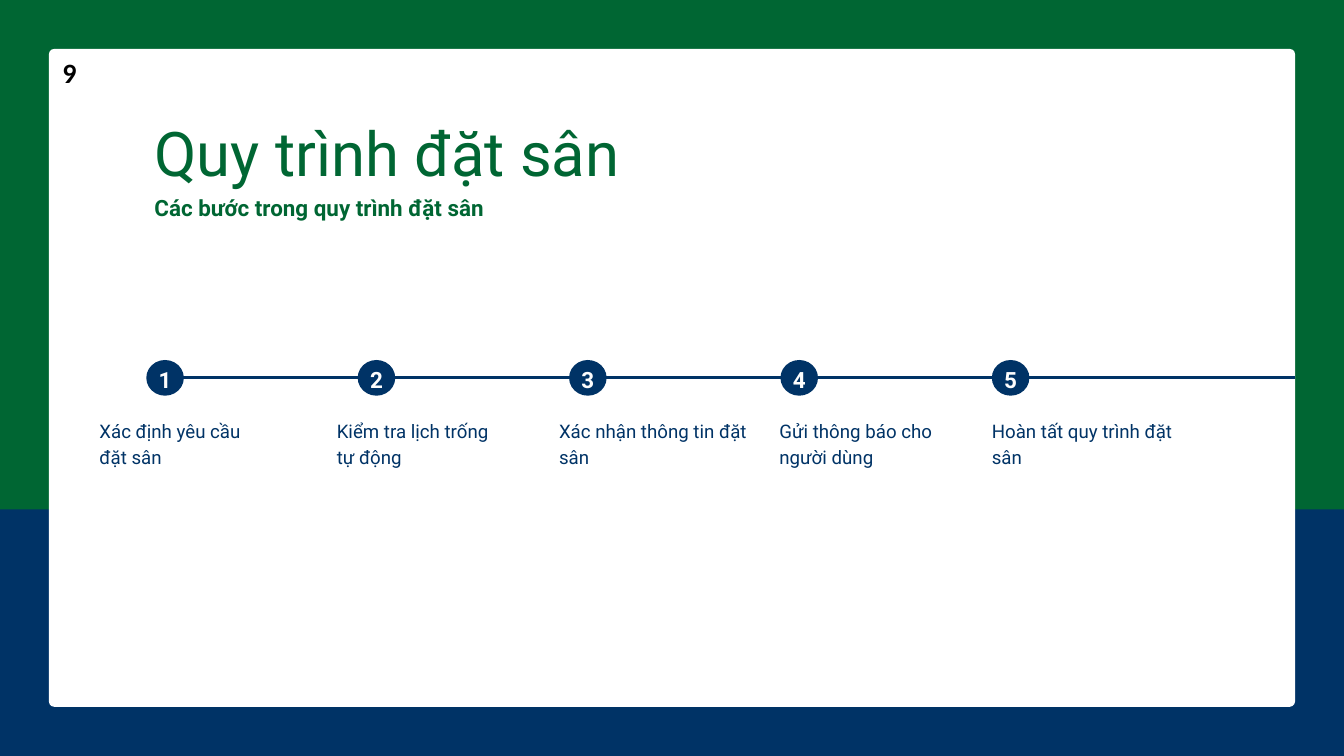
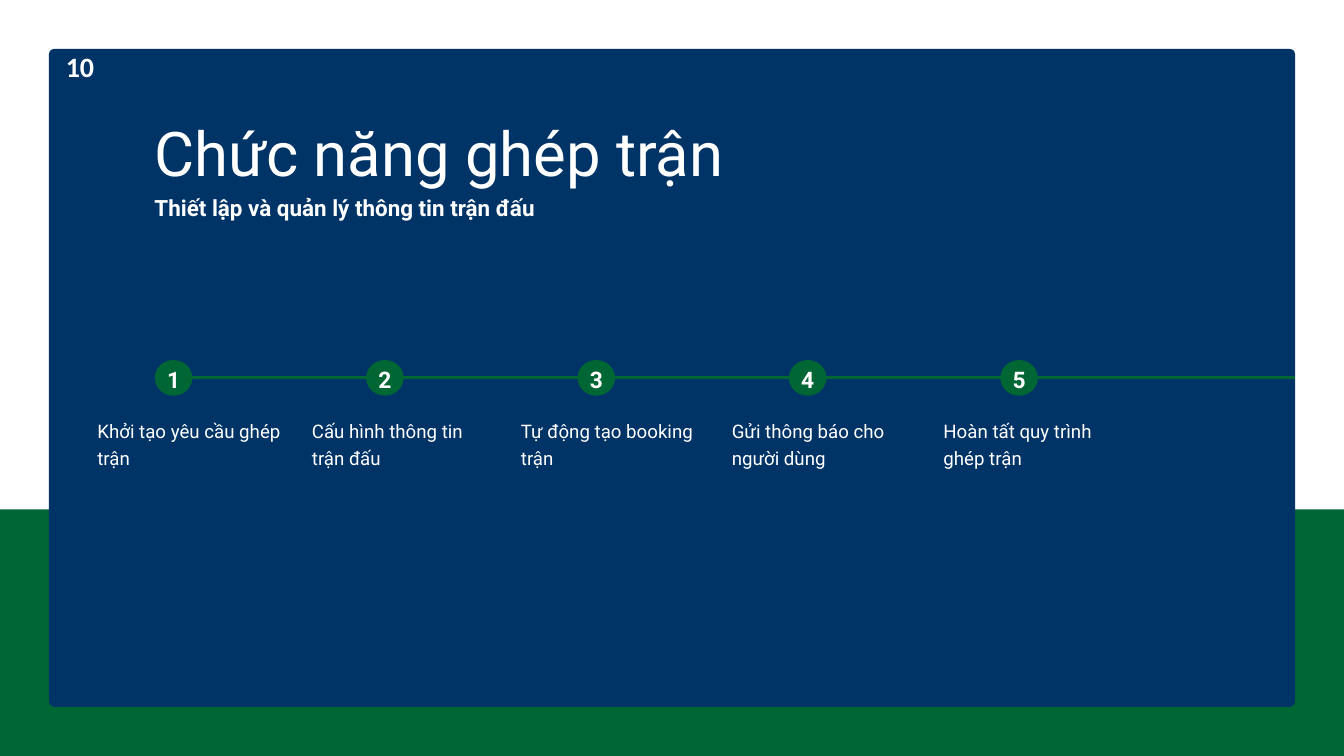
from lxml import etree
from pptx import Presentation
from pptx.dml.color import RGBColor
from pptx.enum.shapes import MSO_CONNECTOR, MSO_SHAPE
from pptx.enum.text import MSO_ANCHOR, MSO_AUTO_SIZE, PP_ALIGN
from pptx.oxml.ns import qn
from pptx.util import Cm, Pt

RECT, ROUND, OVAL = MSO_SHAPE.RECTANGLE, MSO_SHAPE.ROUNDED_RECTANGLE, MSO_SHAPE.OVAL
STRAIGHT = MSO_CONNECTOR.STRAIGHT
MIDDLE = MSO_ANCHOR.MIDDLE
LEFT, CENTER, RIGHT = PP_ALIGN.LEFT, PP_ALIGN.CENTER, PP_ALIGN.RIGHT
GROW = MSO_AUTO_SIZE.SHAPE_TO_FIT_TEXT

GREEN = RGBColor(0x00, 0x66, 0x33)
NAVY = RGBColor(0x00, 0x33, 0x66)
WHITE = RGBColor(0xFF, 0xFF, 0xFF)
PEARL = RGBColor(0xFD, 0xFD, 0xFD)
BLACK = RGBColor(0x00, 0x00, 0x00)

# All lengths are in centimetres; a box is (left, top, width, height).
WIDTH, HEIGHT = 50.8, 28.58
BAND = (0, 19.26, WIDTH, HEIGHT - 19.26)
CARD = (1.85, 1.85, 47.1, 24.87)
RADIUS = 0.2
HEAD = (5.84, 4.34, 35.1, 3.9)
BADGE_W, BADGE_H = 1.42, 1.35
PITCH = 7.99
LABEL_W = 7.14

TITLE = {"name": "Roboto", "size": Pt(66), "bold": False}
SUB = {"name": "Roboto", "size": Pt(24), "bold": True}
LABEL = {"name": "Roboto", "size": Pt(20), "bold": False}
PAGE = {"name": "Calibri", "size": Pt(30), "bold": True}

SLIDES = [
    {
        "back": GREEN, "band": NAVY, "card": WHITE,
        "head": GREEN, "line": NAVY, "label": NAVY, "digit": PEARL,
        "page": ("9", (2.11, 2.24, 0.64, 1.02), BLACK),
        "title": "Quy trình đặt sân",
        "sub": "Các bước trong quy trình đặt sân",
        "start": 5.53, "label_top": 15.72, "digit_size": 24,
        "steps": [
            ("Xác định yêu cầu đặt sân", 3.76, 6.35),
            ("Kiểm tra lịch trống tự động", 12.73, 6.15),
            ("Xác nhận thông tin đặt sân", 21.13, LABEL_W),
            ("Gửi thông báo cho người dùng", 29.46, LABEL_W),
            ("Hoàn tất quy trình đặt sân", 37.49, LABEL_W),
        ],
    },
    {
        "back": WHITE, "band": GREEN, "card": NAVY,
        "head": WHITE, "line": GREEN, "label": WHITE, "digit": WHITE,
        "page": ("10", (2.11, 1.98, 1.7, 1.02), WHITE),
        "title": "Chức năng ghép trận",
        "sub": "Thiết lập và quản lý thông tin trận đấu",
        "start": 5.85, "label_top": 15.75, "digit_size": 24.4,
        "steps": [
            ("Khởi tạo yêu cầu ghép trận", 3.68, LABEL_W),
            ("Cấu hình thông tin trận đấu", 11.79, 7.04),
            ("Tự động tạo booking trận", 19.69, LABEL_W),
            ("Gửi thông báo cho người dùng", 27.66, LABEL_W),
            ("Hoàn tất quy trình ghép trận", 35.66, LABEL_W),
        ],
    },
]


def add_block(slide, kind, box, color):
    """Add a plain filled shape without outline."""
    block = slide.shapes.add_shape(kind, *map(Cm, box))
    block.shadow.inherit = False
    block.fill.solid()
    block.fill.fore_color.rgb = color
    block.line.fill.background()
    return block


def add_text(slide, text, box, font, color, align=LEFT):
    frame = slide.shapes.add_textbox(*map(Cm, box)).text_frame
    frame.word_wrap = True
    para = frame.paragraphs[0]
    para.alignment = align
    run = para.add_run()
    run.text = text
    for key, value in font.items():
        setattr(run.font, key, value)
    run.font.color.rgb = color
    return frame


def add_tight(slide, text, box, font, color, lead, align=LEFT):
    """Add text without margins, with line spacing as a multiple of its size."""
    frame = add_text(slide, text, box, font, color, align)
    for side in ("left", "top", "right", "bottom"):
        setattr(frame, f"margin_{side}", 0)
    frame.auto_size = GROW
    frame.paragraphs[0].line_spacing = Pt(round(font["size"].pt * lead, 1))


def add_frame(slide, data):
    """Add the background, lower band and rounded card."""
    back = slide.background.fill
    back.solid()
    back.fore_color.rgb = data["back"]
    add_block(slide, RECT, BAND, data["band"])
    card = add_block(slide, ROUND, CARD, data["card"])
    card.adjustments[0] = RADIUS / CARD[3]


def add_head(slide, data, box):
    left, top, width, height = box
    add_tight(slide, data["title"], (left, top, width, 2.77),
              TITLE, data["head"], 1.2)
    add_tight(slide, data["sub"], (left, top + 2.82, width, height - 2.82),
              SUB, data["head"], 1.4)


def add_track(slide, data, box):
    """Add the line that runs through the badges to the edge of the card."""
    left, top, width, height = box
    mid = Cm(top + height / 2)
    track = slide.shapes.add_connector(STRAIGHT, Cm(left), mid, Cm(left + width), mid)
    track.line.color.rgb = data["line"]
    track.line.width = Pt(3)
    etree.SubElement(track._element.spPr, qn("a:effectLst"))


def add_badge(slide, num, data, box):
    left, top, width, height = box
    add_block(slide, OVAL, box, data["line"])
    font = {**SUB, "size": Pt(data["digit_size"])}
    add_tight(slide, str(num), (left + 0.43, top + 0.05, width - 0.86, 1.12),
              font, data["digit"], 1.4, CENTER)


def add_steps(slide, data, box):
    left, top, width, height = box
    add_track(slide, data, (6.4, top, left + width - 6.4, height))
    for i, (text, start, span) in enumerate(data["steps"]):
        add_badge(slide, i + 1, data, (left + i * PITCH, top, BADGE_W, height))
        add_tight(slide, text, (start, data["label_top"], span, 1.96),
                  LABEL, data["label"], 1.4)


def add_page(slide, text, box, color):
    frame = add_text(slide, text, box, PAGE, color, RIGHT)
    frame.vertical_anchor = MIDDLE


def add_process(deck, data):
    slide = deck.slides.add_slide(deck.slide_layouts[6])
    add_frame(slide, data)
    add_head(slide, data, HEAD)
    edge = CARD[0] + CARD[2]
    add_steps(slide, data, (data["start"], 13.61, edge - data["start"], BADGE_H))
    add_page(slide, *data["page"])


def main():
    deck = Presentation()
    deck.slide_width, deck.slide_height = Cm(WIDTH), Cm(HEIGHT)
    for data in SLIDES:
        add_process(deck, data)
    deck.save("out.pptx")


if __name__ == "__main__":
    main()
